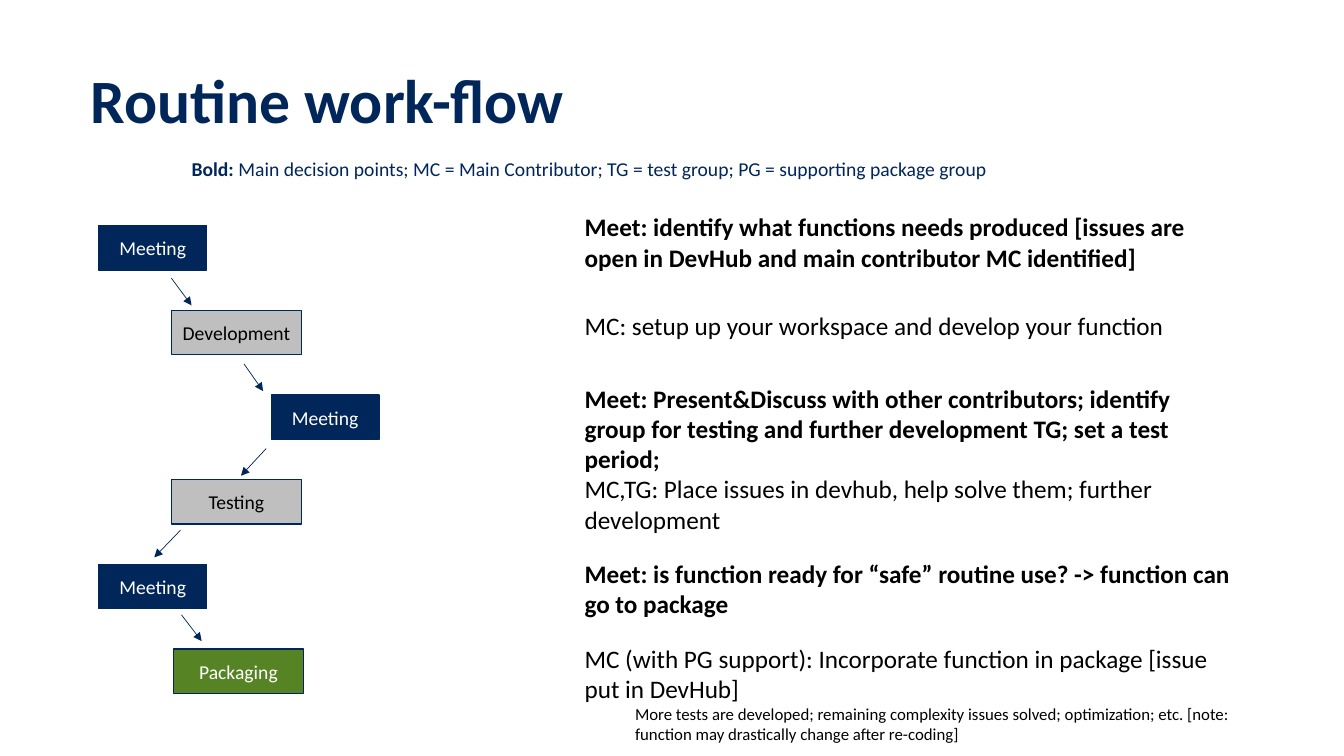
from lxml import etree
from pptx import Presentation
from pptx.dml.color import RGBColor
from pptx.enum.shapes import MSO_CONNECTOR, MSO_SHAPE
from pptx.enum.text import MSO_ANCHOR, MSO_AUTO_SIZE as AUTO, PP_ALIGN
from pptx.oxml.ns import qn
from pptx.util import Inches, Pt

NAVY = RGBColor(0x00, 0x26, 0x5A)
GREY = RGBColor(0xBF, 0xBF, 0xBF)
GREEN = RGBColor(0x56, 0x84, 0x24)
BLACK = RGBColor(0, 0, 0)
WHITE = RGBColor(0xFF, 0xFF, 0xFF)


def add_run(p, text, size, color, bold=False):
    r = p.add_run()
    r.text = text
    r.font.color.rgb = color
    for name, value in {"name": "Calibri", "size": Pt(size), "bold": bold}.items():
        setattr(r.font, name, value)


prs = Presentation()
prs.slide_width, prs.slide_height = Inches(13.33), Inches(7.5)
s = prs.slides.add_slide(prs.slide_layouts[5])

# Title
title = s.shapes.title
place = {"left": 0.8, "top": 0.55, "width": 10.79, "height": 0.96}
for name, value in place.items():
    setattr(title, name, Inches(value))
tf = title.text_frame
tf.vertical_anchor = MSO_ANCHOR.MIDDLE
tf.auto_size = AUTO.NONE
p = tf.paragraphs[0]
p.alignment, p.line_spacing = PP_ALIGN.LEFT, 0.9
add_run(p, "Routine work-flow", 44, NAVY, True)

# Legend
tf = s.shapes.add_textbox(Inches(1.9), Inches(1.56), Inches(8.01), Inches(0.29)).text_frame
tf.word_wrap = True
for side in ("left", "top", "right", "bottom"):
    setattr(tf, f"margin_{side}", 0)
p = tf.paragraphs[0]
add_run(p, "Bold: ", 14, NAVY, True)
add_run(p, "Main decision points; MC = Main Contributor; TG = test group; "
           "PG = supporting package group", 14, NAVY)

# Step boxes, evenly spaced: label, left, width, fill, text colour
boxes = [
    ("Meeting", 0.98, 1.07, NAVY, WHITE),
    ("Development", 1.7, 1.29, GREY, BLACK),
    ("Meeting", 2.69, 1.07, NAVY, WHITE),
    ("Testing", 1.7, 1.29, GREY, BLACK),
    ("Meeting", 0.98, 1.07, NAVY, WHITE),
    ("Packaging", 1.72, 1.29, GREEN, WHITE),
]
for row, (label, left, width, fill, color) in enumerate(boxes):
    sp = s.shapes.add_shape(MSO_SHAPE.RECTANGLE, Inches(left), Inches(2.24 + 0.84 * row),
                            Inches(width), Inches(0.44))
    sp.shadow.inherit = False
    sp.fill.solid()
    sp.fill.fore_color.rgb = fill
    sp.line.color.rgb = NAVY
    sp.line.width = Pt(1)
    tf = sp.text_frame
    tf.vertical_anchor = MSO_ANCHOR.MIDDLE
    p = tf.paragraphs[0]
    p.alignment = PP_ALIGN.CENTER
    add_run(p, label, 14, color)

# Step descriptions: top, height, bold, text
descriptions = [
    (2.05, 0.71, True, "Meet: identify what functions needs produced [issues are open in "
                       "DevHub and main contributor MC identified]"),
    (3.03, 0.4, False, "MC: setup up your workspace and develop your function"),
    (3.75, 0.71, True, "Meet: Present&Discuss with other contributors; identify group for "
                       "testing and further development TG; set a test period;"),
    (4.65, 0.71, False, "MC,TG: Place issues in devhub, help solve them; further development"),
    (5.49, 0.71, True, "Meet: is function ready for “safe” routine use? -> function can go "
                       "to package"),
    (6.33, 1.11, False, "MC (with PG support): Incorporate function in package [issue put in "
                        "DevHub]"),
]
for top, height, bold, text in descriptions:
    tf = s.shapes.add_textbox(Inches(5.7), Inches(top), Inches(6.67), Inches(height)).text_frame
    tf.word_wrap = True
    add_run(tf.paragraphs[0], text, 18, BLACK, bold)

# Note under the last description
p = tf.add_paragraph()
p.level = 1
add_run(p, "More tests are developed; remaining complexity issues solved; optimization; etc. "
           "[note: function may drastically change after re-coding]", 12, BLACK)

# Arrows between steps: x1, y1, x2, y2
arrows = [
    (1.7, 2.76, 1.9, 3.03),
    (2.42, 3.61, 2.61, 3.88),
    (2.64, 4.45, 2.39, 4.72),
    (1.79, 5.26, 1.53, 5.53),
    (1.8, 6.1, 2, 6.36),
]
for ends in arrows:
    arrow = s.shapes.add_connector(MSO_CONNECTOR.STRAIGHT, *map(Inches, ends))
    arrow.line.color.rgb = NAVY
    arrow.line.width = Pt(0.5)
    etree.SubElement(arrow.line._get_or_add_ln(), qn("a:tailEnd"), type="triangle")
    etree.SubElement(arrow._element.spPr, qn("a:effectLst"))

prs.save("out.pptx")
